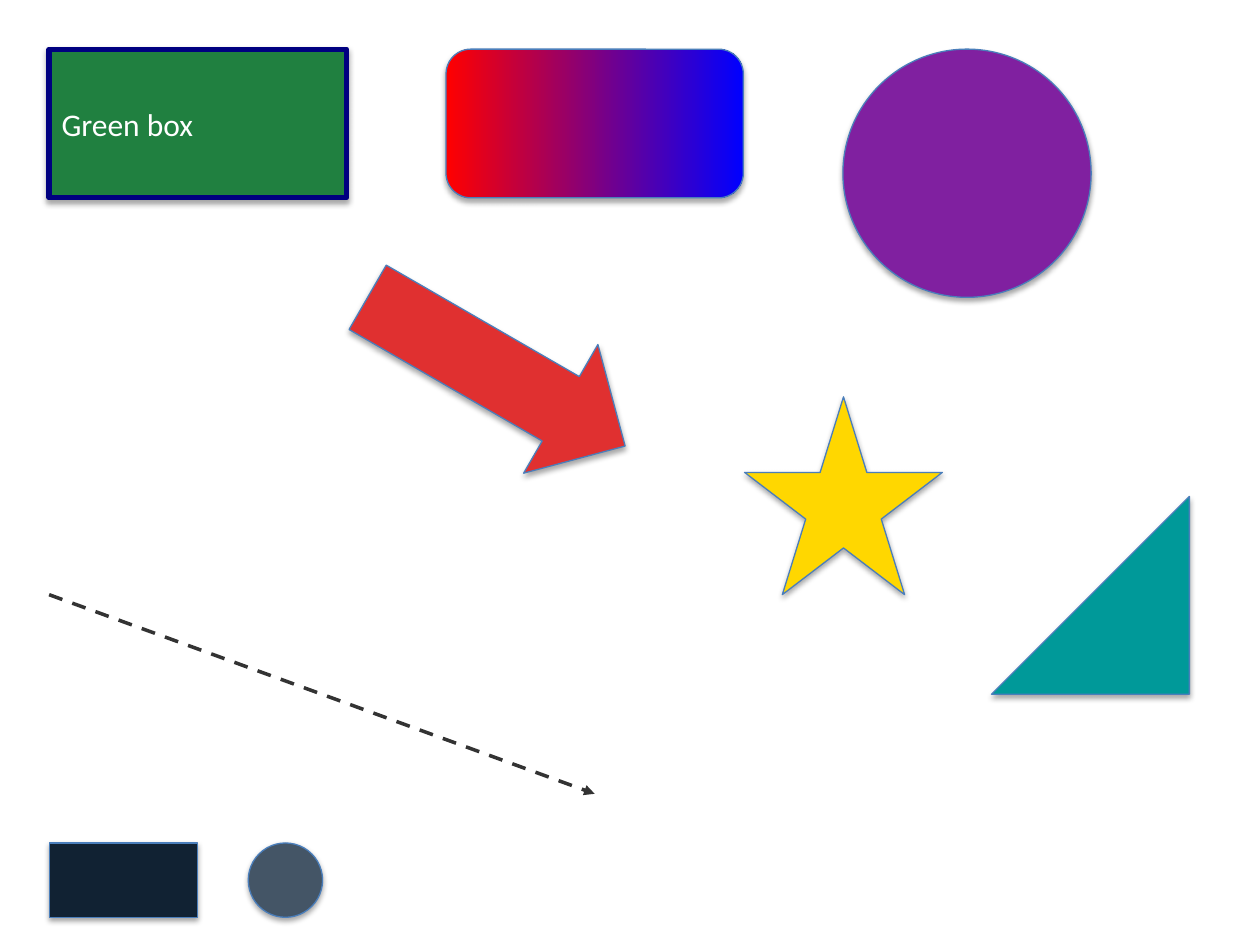
"""Build a slide of filled preset shapes, a dashed arrow and a small group."""
from typing import NamedTuple

from lxml.etree import SubElement
from pptx import Presentation
from pptx.dml.color import RGBColor
from pptx.enum.dml import MSO_LINE
from pptx.enum.shapes import MSO_CONNECTOR, MSO_SHAPE as Preset
from pptx.enum.text import MSO_ANCHOR, PP_ALIGN
from pptx.oxml.ns import qn
from pptx.util import Inches, Pt

COLORS = {
    "green": "208040", "navy": "000080", "red": "FF0000", "blue": "0000FF",
    "purple": "8020A0", "scarlet": "E03030", "gold": "FFD700", "teal": "009999",
    "ink": "112233", "slate": "445566", "outline": "4A7EBB", "charcoal": "333333",
    "white": "FFFFFF",
}


class Figure(NamedTuple):
    preset: Preset
    left: float
    top: float
    width: float
    height: float
    fills: tuple[str, ...]
    line: str = "outline"
    line_width: float = 0.75
    rotation: float = 0
    flipped: bool = False
    label: str = ""


class Arrow(NamedTuple):
    start: tuple[float, float]
    end: tuple[float, float]
    color: str
    width: float


UPPER = [
    Figure(Preset.RECTANGLE, 0.39, 0.39, 2.36, 1.18, ("green",), "navy", 3, label="Green box"),
    Figure(Preset.ROUNDED_RECTANGLE, 3.54, 0.39, 2.36, 1.18, ("red", "blue")),
    Figure(Preset.OVAL, 6.69, 0.39, 1.97, 1.97, ("purple",)),
    Figure(Preset.RIGHT_ARROW, 2.76, 2.36, 2.36, 1.18, ("scarlet",), rotation=30),
    Figure(Preset.STAR_5_POINT, 5.91, 3.15, 1.57, 1.57, ("gold",)),
]
DASHED_ARROW = Arrow((0.39, 4.72), (4.72, 6.3), "charcoal", 2)
TRIANGLE = Figure(Preset.RIGHT_TRIANGLE, 7.87, 3.94, 1.57, 1.57, ("teal",), flipped=True)
GROUPED = [
    Figure(Preset.RECTANGLE, 0.39, 6.69, 1.18, 0.59, ("ink",)),
    Figure(Preset.OVAL, 1.97, 6.69, 0.59, 0.59, ("slate",)),
]


def color(name: str) -> RGBColor:
    """Look up a named colour."""
    return RGBColor.from_string(COLORS[name])


def paint(shape, fills: tuple[str, ...]) -> None:
    """Fill with one colour, or with a left-to-right gradient of two."""
    if len(fills) == 1:
        shape.fill.solid()
        shape.fill.fore_color.rgb = color(fills[0])
        return
    shape.fill.gradient()
    shape.fill.gradient_angle = 0
    for position, (stop, name) in enumerate(zip(shape.fill.gradient_stops, fills)):
        stop.position = position
        stop.color.rgb = color(name)


def write_label(shape, text: str) -> None:
    """Write a white left-aligned label in the middle of a shape's height."""
    frame = shape.text_frame
    frame.vertical_anchor = MSO_ANCHOR.MIDDLE
    para = frame.paragraphs[0]
    para.alignment = PP_ALIGN.LEFT
    span = para.add_run()
    span.text = text
    span.font.name = "Calibri"
    span.font.size = Pt(18)
    span.font.color.rgb = color("white")


def draw_figure(shapes, figure: Figure) -> None:
    """Draw one preset shape, keeping the soft shadow of the theme."""
    shape = shapes.add_shape(
        figure.preset, Inches(figure.left), Inches(figure.top),
        Inches(figure.width), Inches(figure.height),
    )
    paint(shape, figure.fills)
    shape.line.color.rgb = color(figure.line)
    shape.line.width = Pt(figure.line_width)
    shape.rotation = figure.rotation
    if figure.flipped:
        shape.element.spPr.find(qn("a:xfrm")).set("flipH", "1")
    if figure.label:
        write_label(shape, figure.label)


def draw_arrow(shapes, arrow: Arrow) -> None:
    """Draw a dashed connector without shadow, with an arrowhead at its end."""
    start, end = map(Inches, arrow.start), map(Inches, arrow.end)
    connector = shapes.add_connector(MSO_CONNECTOR.STRAIGHT, *start, *end)
    connector.line.color.rgb = color(arrow.color)
    connector.line.width = Pt(arrow.width)
    connector.line.dash_style = MSO_LINE.DASH
    properties = connector.element.spPr
    SubElement(properties.find(qn("a:ln")), qn("a:tailEnd"), type="triangle")
    SubElement(properties, qn("a:effectLst"))


def main() -> None:
    """Build and save the deck."""
    deck = Presentation()
    deck.slide_width, deck.slide_height = Inches(10), Inches(7.5)
    page = deck.slides.add_slide(deck.slide_layouts[6])
    for figure in UPPER:
        draw_figure(page.shapes, figure)
    draw_arrow(page.shapes, DASHED_ARROW)
    draw_figure(page.shapes, TRIANGLE)
    group = page.shapes.add_group_shape()
    for figure in GROUPED:
        draw_figure(group.shapes, figure)
    deck.save("out.pptx")


if __name__ == "__main__":
    main()
